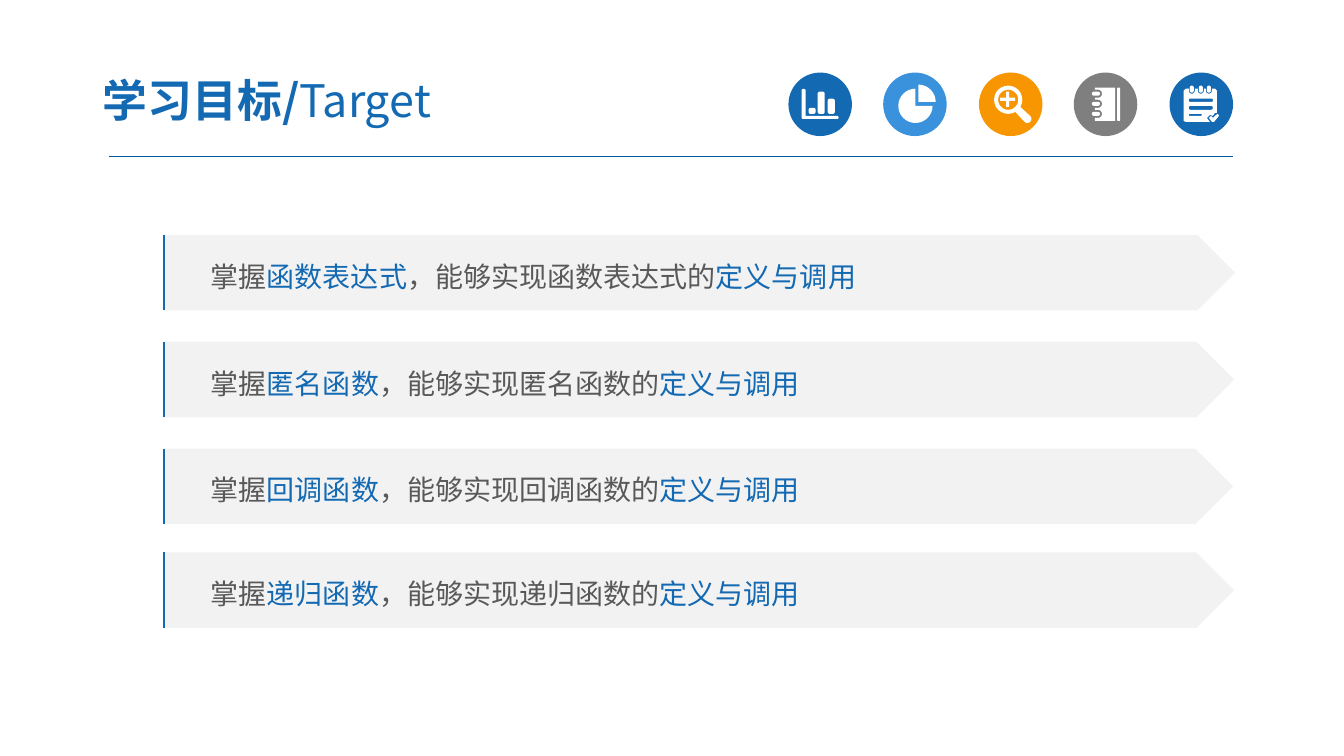
from math import cos, radians, sin

from lxml.etree import SubElement
from pptx import Presentation
from pptx.dml.color import RGBColor
from pptx.enum.shapes import MSO_CONNECTOR, MSO_SHAPE
from pptx.enum.text import MSO_ANCHOR, PP_ALIGN
from pptx.oxml.ns import qn
from pptx.util import Pt

HUES = {
    "blue": "1369B2", "sky": "3992DB", "amber": "F79600", "gray": "7F7F7F",
    "rule": "005B9E", "pale": "F2F2F2", "text": "595959", "white": "FFFFFF",
}
FONT = "Noto Sans CJK SC"
UNIT = 9144  # EMU in one px, 100 px to the inch


def arc(x, y, r, start=0, end=360, steps=24):
    """Points along an arc, clockwise from the right."""
    turns = [radians(start + (end - start) * i / steps) for i in range(steps + 1)]
    return [(x + r * cos(t), y + r * sin(t)) for t in turns]


def pill(x, y, w, h, r):
    """Points of a box with rounded corners."""
    right, low = x + w - r, y + h - r
    return (arc(x + r, y + r, r, 180, 270, 6) + arc(right, y + r, r, 270, 360, 6)
            + arc(right, low, r, 0, 90, 6) + arc(x + r, low, r, 90, 180, 6))


class Deck:
    def __init__(self, wide, high):
        self.prs = Presentation()
        self.prs.slide_width = wide * UNIT
        self.prs.slide_height = high * UNIT
        self.slide = self.prs.slides.add_slide(self.prs.slide_layouts[6])
        self.shapes = self.slide.shapes

    def paint(self, shape, hue):
        shape.shadow.inherit = False
        shape.fill.solid()
        shape.fill.fore_color.rgb = RGBColor.from_string(HUES[hue])
        shape.line.fill.background()
        return shape

    def shape(self, kind, x, y, w, h, hue):
        box = [n * UNIT for n in (x, y, w, h)]
        return self.paint(self.shapes.add_shape(kind, *box), hue)

    def icon(self, loops, hue="white"):
        loops = [[(x * UNIT, y * UNIT) for x, y in loop] for loop in loops]
        pen = self.shapes.build_freeform(*loops[0][0], scale=1.0)
        for i, loop in enumerate(loops):
            if i:
                pen.move_to(*loop[0])
            pen.add_line_segments(loop[1:], close=True)
        return self.paint(pen.convert_to_shape(), hue)

    def line(self, x1, y1, x2, y2, hue, width):
        ends = [n * UNIT for n in (x1, y1, x2, y2)]
        line = self.shapes.add_connector(MSO_CONNECTOR.STRAIGHT, *ends)
        line.line.color.rgb = RGBColor.from_string(HUES[hue])
        line.line.width = Pt(width)
        SubElement(line._element.spPr, qn("a:effectLst"))

    def letter(self, shape, runs, size, left, space=1.0):
        """Fill a shape with one line of (text, hue, bold) runs."""
        frame = shape.text_frame
        frame.word_wrap = True
        frame.vertical_anchor = MSO_ANCHOR.MIDDLE
        frame.margin_left = left * UNIT
        para = frame.paragraphs[0]
        para.alignment = PP_ALIGN.LEFT
        para.line_spacing = space
        for text, hue, bold in runs:
            run = para.add_run()
            run.text = text
            run.font.size = Pt(size)
            run.font.bold = bold
            run.font.name = FONT
            run.font.color.rgb = RGBColor.from_string(HUES[hue])
            SubElement(run._r.rPr, qn("a:ea"), typeface=FONT)

    def label(self, x, y, w, h, runs, size):
        box = self.shapes.add_textbox(*[n * UNIT for n in (x, y, w, h)])
        self.letter(box, runs, size, 13)

    def goal(self, y, w, topic):
        """One goal: an arrow band with a blue edge."""
        band = self.shape(MSO_SHAPE.PENTAGON, 162, y, w, 75, "pale")
        runs = [("掌握", "text", False), (topic, "blue", False),
                (f"，能够实现{topic}的", "text", False),
                ("定义与调用", "blue", False)]
        self.letter(band, runs, 20, 47, 1.2)
        self.line(163, y, 163, y + 75, "blue", 1.5)


# Icon outlines
bars = [
    [(795, 89), (797, 88), (799, 89), (799, 115), (831, 115), (832, 117),
     (831, 118), (796, 118), (795, 117)],
    pill(821, 98, 7, 15, 2), pill(811, 91, 7, 22, 2), pill(802, 107, 7, 6, 2),
]
pie = [
    [(911, 101)] + arc(911, 101, 17, -90, 0),
    [(908, 105)] + arc(908, 105, 17, 0, 270),
]
lens = [
    arc(1000, 99, 14), arc(1000, 99, 10),
    [(992, 97), (998, 97), (998, 91), (1001, 91), (1001, 97), (1007, 97),
     (1007, 100), (1001, 100), (1001, 106), (998, 106), (998, 100), (992, 100)],
    [(1007, 111), (1010, 109), (1012, 106)] + arc(1019, 118, 4, -45, 135),
]
holes = (113, 103, 93)
cover = [(1086, 87), (1106, 87), (1106, 120), (1086, 120)]
for y in holes:
    cover += [(1086, y + 4)] + arc(1089, y, 4, 90, -90) + [(1086, y - 4)]
book = [cover, pill(1108, 87, 3, 33, 1)] + [pill(1083, y - 2, 8, 4, 2) for y in holes]

rings = (1182, 1191, 1199)
sheet = [(1174, 90), (1176, 88)]
for x in rings:
    sheet += [(x - 3, 88)] + arc(x, 90, 3, 180, 0) + [(x + 3, 88)]
sheet += [(1205, 88), (1207, 90), (1207, 112), (1205, 112), (1203, 115),
          (1200, 114), (1197, 117), (1200, 121), (1176, 121), (1174, 120)]
tick = [(1199, 117), (1201, 115), (1203, 117), (1206, 114), (1208, 113),
        (1209, 115), (1204, 121), (1202, 121)]
notes = [sheet, tick, pill(1179, 98, 24, 3, 1), pill(1179, 105, 24, 4, 2),
         pill(1179, 113, 13, 2, 1)] + [pill(x - 2, 85, 4, 7, 2) for x in rings]

ICONS = [("blue", bars), ("sky", pie), ("amber", lens), ("gray", book), ("blue", notes)]
GOALS = [
    (233, 1063, "函数表达式"),
    (339, 1062, "匿名函数"),
    (445, 1061, "回调函数"),
    (548, 1062, "递归函数"),
]


def main():
    deck = Deck(1333, 750)

    # Header: rule, icons and title
    deck.line(108, 155, 1223, 155, "rule", 0.75)
    for i, (hue, loops) in enumerate(ICONS):
        deck.shape(MSO_SHAPE.OVAL, 782 + i * 189 // 2, 72, 63, 63, hue)
        deck.icon(loops)
    title = [("学习目标/", "blue", True), ("Target", "blue", False)]
    deck.label(89, 63, 522, 72, title, 32)

    # Learning goals
    for y, w, topic in GOALS:
        deck.goal(y, w, topic)

    deck.prs.save("out.pptx")


if __name__ == "__main__":
    main()
